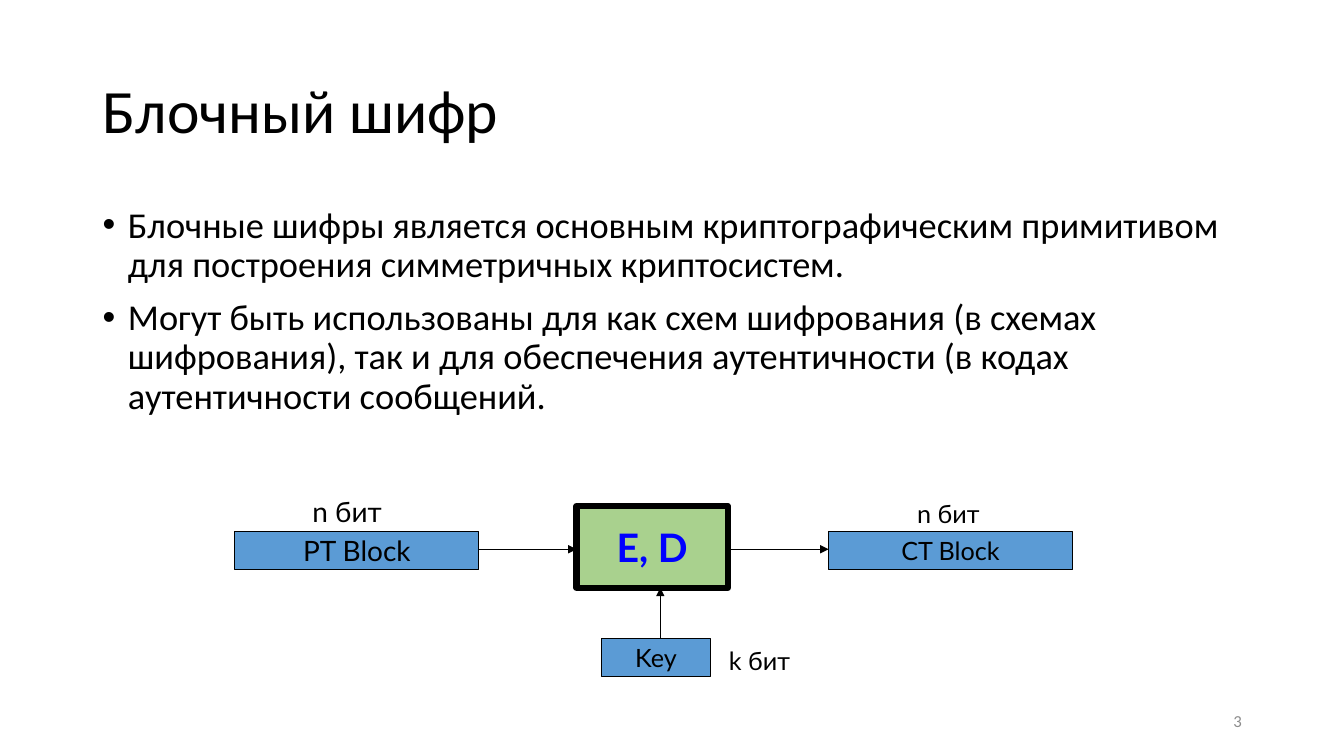
"""Build a slide that explains the block cipher with a small scheme."""
from lxml import etree
from pptx import Presentation
from pptx import util as u
from pptx.dml.color import RGBColor
from pptx.enum import shapes, text
from pptx.oxml import ns

COLOURS = {
    "text": "000000",
    "line": "000000",
    "block": "5B9BD5",
    "cipher": "A9D18E",
    "cipher_text": "0000FF",
    "number": "8C8C8C",
}
CENTRE = {"alignment": text.PP_ALIGN.CENTER}
LIST_FORMAT = {
    "alignment": text.PP_ALIGN.LEFT,
    "line_spacing": 0.9,
    "space_before": u.Pt(10),
}
POINTS = [
    "Блочные шифры является основным криптографическим примитивом "
    "для построения симметричных криптосистем.",
    "Могут быть использованы для как схем шифрования (в схемах шифрования), "
    "так и для обеспечения аутентичности (в кодах аутентичности сообщений.",
]
BLOCK_WIDTH, BLOCK_HEIGHT, BLOCK_TOP = 6.15, 0.97, 13.39
FLOW_Y = 13.84


def colour(name):
    return RGBColor.from_string(COLOURS[name])


def set_attributes(target, values):
    for name, value in values.items():
        setattr(target, name, value)


def place(shape, left, top, width, height):
    box = {"left": left, "top": top, "width": width, "height": height}
    set_attributes(shape, {name: u.Cm(value) for name, value in box.items()})


def write(frame, lines, size, paragraph_format, font="Calibri",
          font_colour="text", bold=False, **frame_format):
    set_attributes(frame, {"auto_size": text.MSO_AUTO_SIZE.NONE, **frame_format})
    frame.text = "\n".join(lines)
    for paragraph in frame.paragraphs:
        set_attributes(paragraph, paragraph_format)
        for run in paragraph.runs:
            set_attributes(run.font, {"name": font, "size": u.Pt(size), "bold": bold})
            run.font.color.rgb = colour(font_colour)


def fill_placeholder(shape, box, lines, size, paragraph_format, anchor):
    place(shape, *box)
    write(shape.text_frame, lines, size, paragraph_format,
          vertical_anchor=anchor, word_wrap=True)


def indent_list(frame, indent):
    for paragraph in frame.paragraphs:
        properties = paragraph._p.get_or_add_pPr()
        properties.set("marL", str(u.Cm(indent)))
        properties.set("indent", str(-u.Cm(indent)))


def add_block(slide, box, caption, size, fill="block", line_width=0.75, **font_format):
    shape = slide.shapes.add_shape(
        shapes.MSO_SHAPE.RECTANGLE, *(u.Cm(value) for value in box))
    shape.shadow.inherit = False
    shape.fill.solid()
    shape.fill.fore_color.rgb = colour(fill)
    shape.line.color.rgb = colour("line")
    shape.line.width = u.Pt(line_width)
    write(shape.text_frame, [caption], size, CENTRE, "Lato", word_wrap=False,
          vertical_anchor=text.MSO_ANCHOR.MIDDLE, **font_format)


def add_label(slide, box, caption, size):
    shape = slide.shapes.add_textbox(*(u.Cm(value) for value in box))
    write(shape.text_frame, [caption], size, CENTRE, "Lato", word_wrap=False)


def add_number(slide, box, number):
    shape = slide.shapes.add_textbox(*(u.Cm(value) for value in box))
    write(shape.text_frame, [number], 12, {"alignment": text.PP_ALIGN.RIGHT},
          font_colour="number", word_wrap=True,
          vertical_anchor=text.MSO_ANCHOR.MIDDLE)


def add_arrow(slide, *ends):
    arrow = slide.shapes.add_connector(
        shapes.MSO_CONNECTOR.STRAIGHT, *(u.Cm(value) for value in ends))
    arrow.line.color.rgb = colour("line")
    arrow.line.width = u.Pt(0.75)
    etree.SubElement(arrow.line._get_or_add_ln(), ns.qn("a:tailEnd"), type="triangle")
    etree.SubElement(arrow._element.spPr, ns.qn("a:effectLst"))


def add_scheme(slide):
    add_block(slide, (14.53, 12.75, 3.81, 2.06), "E, D", 28, "cipher", 4.5,
              font_colour="cipher_text", bold=True)
    for start, end in ((11.99, 14.53), (18.34, 20.88)):
        add_arrow(slide, start, FLOW_Y, end, FLOW_Y)
    for left, caption, size in ((20.88, "CT Block", 18), (5.92, "PT Block", 20)):
        add_block(slide, (left, BLOCK_TOP, BLOCK_WIDTH, BLOCK_HEIGHT), caption, size)
    add_block(slide, (15.16, 16.08, 2.74, BLOCK_HEIGHT), "Key", 18)
    add_label(slide, (22.86, 12.42, 2.08, 1.02), "n бит", 18)
    add_label(slide, (7.62, 12.34, 2.26, 1.12), "n бит", 20)
    add_label(slide, (18.11, 16.13, 2.06, 1.02), "k бит", 18)
    add_arrow(slide, 16.64, 16.08, 16.64, 14.81)


def main():
    presentation = Presentation()
    set_attributes(presentation, {"slide_width": u.Cm(33.87), "slide_height": u.Cm(19.05)})
    slide = presentation.slides.add_slide(presentation.slide_layouts[1])
    title, body = slide.placeholders
    fill_placeholder(title, (2.33, 1.02, 29.21, 3.68), ["Блочный шифр"], 44,
                     {"alignment": text.PP_ALIGN.LEFT, "line_spacing": 0.9},
                     text.MSO_ANCHOR.MIDDLE)
    fill_placeholder(body, (2.33, 5.08, 29.21, 12.09), POINTS, 26, LIST_FORMAT,
                     text.MSO_ANCHOR.TOP)
    indent_list(body.text_frame, 0.64)
    add_number(slide, (23.93, 17.65, 7.62, 1.02), "3")
    add_scheme(slide)
    presentation.save("out.pptx")


if __name__ == "__main__":
    main()
